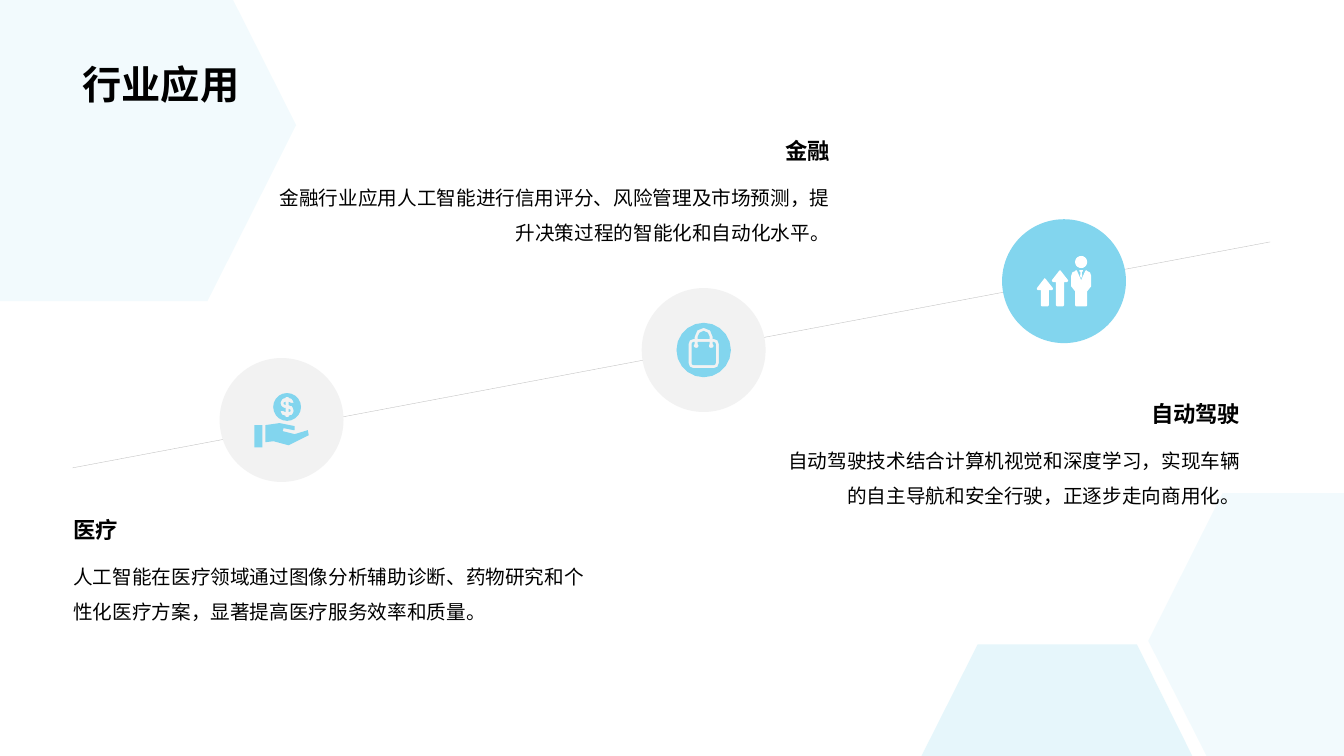
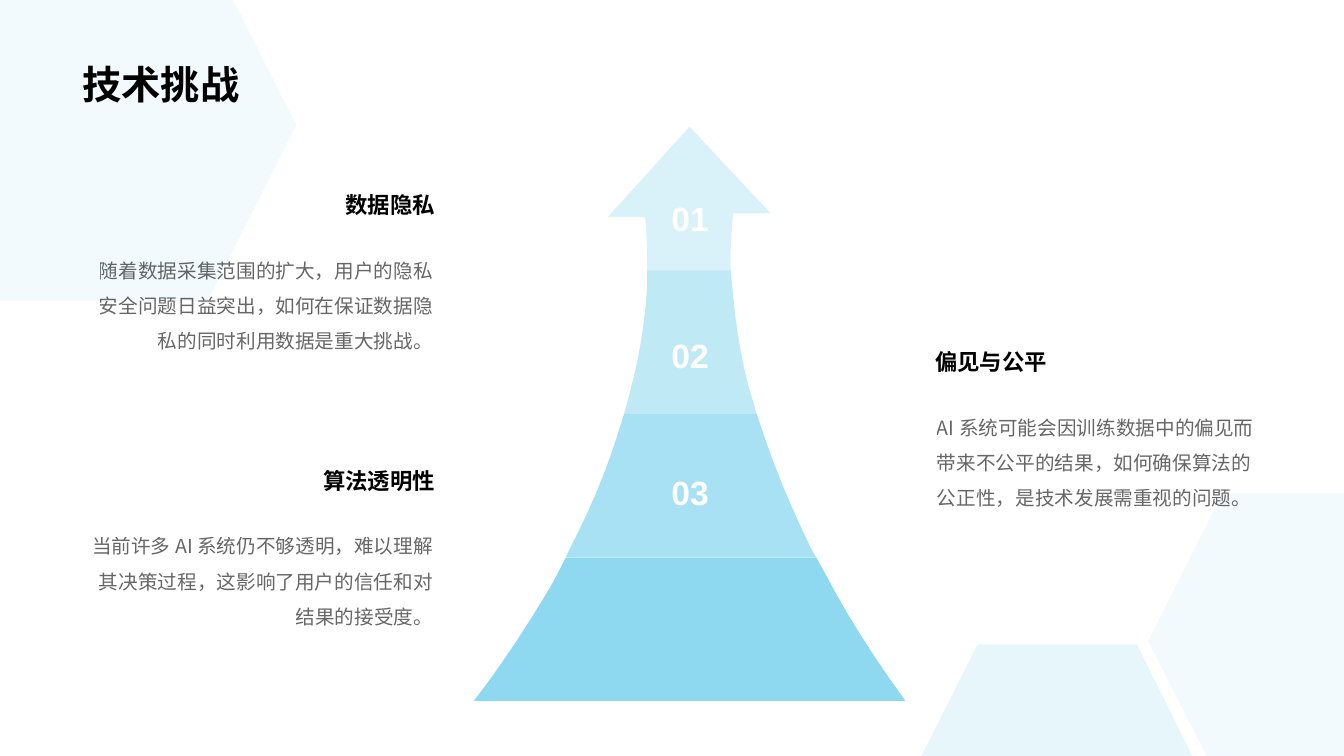
"""Builds two slides: industry applications of AI and its technical challenges."""
from dataclasses import dataclass
from math import cos, pi, sin

from lxml import etree
from pptx import Presentation
from pptx.dml.color import RGBColor
from pptx.enum.shapes import MSO_CONNECTOR, MSO_SHAPE
from pptx.enum.text import MSO_ANCHOR, PP_ALIGN
from pptx.oxml.ns import qn
from pptx.util import Emu, Pt

LEFT, RIGHT, CENTER = PP_ALIGN.LEFT, PP_ALIGN.RIGHT, PP_ALIGN.CENTER
TOP, BOTTOM = MSO_ANCHOR.TOP, MSO_ANCHOR.BOTTOM
STRAIGHT, OVAL = MSO_CONNECTOR.STRAIGHT, MSO_SHAPE.OVAL

COLUMNS, ROWS = 160, 90
CELL = 76200
ICON_UNIT = 0.12
ICON_STEPS, BAND_STEPS, CIRCLE_POINTS = 2, 6, 20

Point = tuple[float, float]


@dataclass(frozen=True)
class Theme:
    accent: str = "82D5EE"
    ink: str = "000000"
    paper: str = "FFFFFF"
    disc: str = "F2F2F2"
    rule: str = "BFBFBF"
    font: str = "Noto Sans CJK SC"
    number_font: str = "Arial"
    title_size: float = 28
    number_size: float = 24
    heading_size: float = 16
    body_size: float = 14
    rule_width: float = 0.25


THEME = Theme()


@dataclass(frozen=True)
class Cells:
    """A rectangle counted in grid cells."""
    left: float
    top: float
    width: float
    height: float


@dataclass(frozen=True)
class TextStyle:
    size: float
    bold: bool = True
    color: str = THEME.ink
    opacity: int = 100
    font: str = THEME.font
    align: PP_ALIGN = LEFT
    anchor: MSO_ANCHOR = TOP
    spacing: float = 1.0
    inset_x: float = 1.2
    inset_y: float = 0.6


@dataclass(frozen=True)
class Patch:
    """A tinted outline; six-number entries are cubic curves."""
    opacity: int
    outline: list[tuple]


@dataclass(frozen=True)
class Note:
    heading: str
    body: str
    left: float
    top: float
    width: float
    align: PP_ALIGN


@dataclass(frozen=True)
class NoteLayout:
    heading_height: float
    body_offset: float
    body_height: float
    heading_anchor: MSO_ANCHOR
    heading_inset: float
    body_inset: tuple[float, float]
    body_opacity: int


@dataclass(frozen=True)
class Stop:
    """A disc on the rising line with an icon at its centre."""
    left: float
    top: float
    disc_color: str
    icon_color: str
    icon: list[list[Point]]


def cells(count: float) -> Emu:
    """Turns grid cells into a length."""
    return Emu(round(count * CELL))


def flatten(outline: list[tuple], steps: int = ICON_STEPS) -> list[Point]:
    """Replaces each cubic curve by short straight steps."""
    points = [outline[0]]
    for entry in outline[1:]:
        if len(entry) == 2:
            points.append(entry)
            continue
        corners = [points[-1], entry[:2], entry[2:4], entry[4:]]
        for step in range(1, steps + 1):
            t = step / steps
            weights = ((1 - t) ** 3, 3 * t * (1 - t) ** 2, 3 * t * t * (1 - t), t ** 3)
            points.append(tuple(sum(w * c[axis] for w, c in zip(weights, corners))
                                for axis in (0, 1)))
    return points


def mirrored(half: list[tuple], x: float = 0) -> list[Point]:
    """Completes an outline that is symmetric about a vertical axis."""
    points = flatten(half)
    return [(x + dx, y) for dx, y in points] + [(x - dx, y) for dx, y in reversed(points)]


def circle(x: float, y: float, radius: float) -> list[Point]:
    """Returns the outline of a circle."""
    angles = [2 * pi * step / CIRCLE_POINTS for step in range(CIRCLE_POINTS)]
    return [(x + radius * cos(angle), y + radius * sin(angle)) for angle in angles]


def growth_arrow(x: float, tip: float) -> list[Point]:
    """Returns an upward arrow standing on the icon's base."""
    return mirrored([(0, tip), (1, tip + 1), (8, tip + 10), (8, tip + 11), (7, tip + 12),
                     (4, tip + 12), (4, 24), (3, 25)], x)


MONEY_ICON = [
    [(-27, 5), (-19, 5), (-19, 27), (-27, 27)],
    [(-2, 3), (13, 6), (13, 10), (12, 10), (2, 8), (1, 11), (13, 14), (26, 10),
     (27, 15), (7, 25), (-8, 21), (-16, 22), (-16, 5)],
    circle(5.5, -13, 13.8),
    flatten([(7, -11), (9, -11, 9, -10, 9, -9), (9, -9, 9, -8, 7, -8)]),
    flatten([(4, -18), (4, -15), (2, -15, 2, -16, 2, -17), (2, -17, 2, -18, 4, -18)]),
    flatten([(4, -23), (4, -22), (3, -22, 2, -21, 1, -21), (0, -20, -1, -18, -1, -17),
             (-1, -15, 0, -13, 1, -13), (2, -12, 3, -12, 4, -12), (4, -8),
             (2, -8, 2, -9, 2, -9), (-1, -9), (-1, -8, 0, -6, 1, -5),
             (2, -5, 3, -5, 4, -4), (4, -3), (7, -3), (7, -4), (8, -5, 9, -5, 10, -5),
             (11, -6, 12, -8, 12, -9), (12, -11, 11, -13, 10, -14),
             (9, -14, 8, -14, 7, -15), (7, -18), (9, -18, 9, -17, 9, -17), (12, -17),
             (12, -18, 11, -20, 10, -21), (9, -21, 8, -22, 7, -22), (7, -23)]),
]
BAG_ICON = [
    circle(0, 0, 27),
    mirrored([(0, -22), (5, -22, 9, -18, 9, -13), (9, -11), (10, -11),
              (13, -11, 15, -9, 15, -6), (15, 13), (15, 16, 13, 18, 10, 18)]),
    mirrored([(0, -19), (3, -19, 6, -16, 6, -13), (6, -11)]),
    mirrored([(6, -8), (6, -6), (6, -6, 5, -5, 5, -4), (5, -3, 6, -2, 7, -2),
              (9, -2, 10, -3, 10, -4), (10, -5, 9, -6, 9, -6), (9, -8), (10, -8),
              (11, -8, 12, -7, 12, -6), (12, 13), (12, 14, 11, 15, 10, 15)]),
]
GROWTH_ICON = [
    growth_arrow(-19, -3),
    growth_arrow(-4, -11),
    circle(17, -19, 6),
    mirrored([(0, -1), (4, -10), (5, -11), (6, -10), (8, -10, 10, -8, 10, -5),
              (10, 5), (6, 10), (6, 24), (5, 25)], 17),
    mirrored([(1.5, -11), (2, -10), (0.6, -9), (1, -5), (0, -3)], 17),
]

BACKDROP = [
    Patch(10, [(0, 0), (27.75, 0), (35.25, 14.9), (24.7, 35.85), (0, 35.85)]),
    Patch(20, [(116.4, 76.7), (135.35, 76.7), (141.95, ROWS), (109.7, ROWS)]),
    Patch(10, [(145.55, 58.7), (COLUMNS, 58.7), (COLUMNS, ROWS), (143.65, ROWS),
               (136.7, 76.3)]),
]
ARROW_BANDS = [
    Patch(90, [(67.35, 66.4), (97.2, 66.4), (98.2, 68.2),
               (100.7, 73, 103.9, 78.1, 107.8, 83.45), (56.4, 83.45),
               (57, 82.7, 61.2, 77.3, 65.8, 69.4)]),
    Patch(30, [(82.1, 15.1), (91.75, 25.4), (87.35, 25.4),
               (87.35, 25.4, 86.9, 27.7, 87, 32.2), (77.05, 32.2), (77.05, 31.2),
               (77.05, 29.4, 76.95, 27.6, 76.8, 25.85), (72.35, 25.85)]),
    Patch(50, [(77.05, 32.2), (87, 32.2), (87.25, 34.8),
               (87.5, 37.7, 88, 41.4, 89, 45.6), (90.1, 49.3), (74.3, 49.3),
               (74.9, 47.05), (76.1, 42.7, 76.8, 38.4, 77.05, 34)]),
    Patch(70, [(74.3, 49.3), (90.1, 49.3), (90.35, 50.05),
               (91.8, 54.6, 93.85, 59.75, 96.6, 65.4), (97.2, 66.4), (67.35, 66.4),
               (67.8, 65.4), (69.85, 61.45, 71.9, 56.9, 73.45, 52)]),
]
NUMBERS = ["01", "02", "03"]
NUMBER_TOP, NUMBER_PITCH = 22.35, 16.3

DISC_SIZE = 14.75
STOPS = [
    Stop(26.15, 42.63, THEME.disc, THEME.accent, MONEY_ICON),
    Stop(76.4, 34.3, THEME.disc, THEME.accent, BAG_ICON),
    Stop(119.3, 26.1, THEME.accent, THEME.paper, GROWTH_ICON),
]

TITLE_AREA = Cells(8.65, 0, 142.55, 13.45)
TITLE = TextStyle(THEME.title_size, anchor=BOTTOM, spacing=0.9)
NUMBER = TextStyle(THEME.number_size, color=THEME.paper, font=THEME.number_font,
                   align=CENTER, anchor=BOTTOM, inset_y=1.2)

APPLICATION_LAYOUT = NoteLayout(4.45, 4.45, 9.25, BOTTOM, 0.6, (1.2, 0.6), 100)
APPLICATIONS = [
    Note("医疗", "人工智能在医疗领域通过图像分析辅助诊断、药物研究和个性化医疗方案，显著提高医疗服务效率和质量。",
         7.55, 60.77, 65.15, LEFT),
    Note("金融", "金融行业应用人工智能进行信用评分、风险管理及市场预测，提升决策过程的智能化和自动化水平。",
         30.25, 15.65, 69.75, RIGHT),
    Note("自动驾驶", "自动驾驶技术结合计算机视觉和深度学习，实现车辆的自主导航和安全行驶，正逐步走向商用化。",
         91.1, 46.95, 57.75, RIGHT),
]
CHALLENGE_LAYOUT = NoteLayout(5.65, 6.35, 23.5, TOP, 1.2, (1.4, 1.44), 60)
CHALLENGES = [
    Note("数据隐私", "随着数据采集范围的扩大，用户的隐私安全问题日益突出，如何在保证数据隐私的同时利用数据是重大挑战。",
         8.65, 21.6, 44.3, RIGHT),
    Note("偏见与公平", "AI 系统可能会因训练数据中的偏见而带来不公平的结果，如何确保算法的公正性，是技术发展需重视的问题。",
         110.15, 40.3, 41.05, LEFT),
    Note("算法透明性", "当前许多 AI 系统仍不够透明，难以理解其决策过程，这影响了用户的信任和对结果的接受度。",
         8.65, 54.4, 44.3, RIGHT),
]


def set_opacity(element, percent: int) -> None:
    """Makes the first colour inside an element see-through."""
    if percent < 100:
        color = element.find(".//" + qn("a:srgbClr"))
        etree.SubElement(color, qn("a:alpha")).set("val", str(percent * 1000))


def paint(shape, color: str, opacity: int = 100) -> None:
    """Gives a shape a plain fill without line or shadow."""
    shape.shadow.inherit = False
    shape.fill.solid()
    shape.fill.fore_color.rgb = RGBColor.from_string(color)
    shape.line.fill.background()
    set_opacity(shape._element.spPr, opacity)


def add_outline(page, contours: list[list[Point]], color: str, opacity: int = 100) -> None:
    """Draws closed contours, in cells, as one shape."""
    paths = [[(cells(x), cells(y)) for x, y in contour] for contour in contours]
    builder = page.shapes.build_freeform(*paths[0][0])
    for index, path in enumerate(paths):
        if index:
            builder.move_to(*path[0])
        builder.add_line_segments(path[1:], close=True)
    paint(builder.convert_to_shape(), color, opacity)


def add_text(page, text: str, area: Cells, style: TextStyle) -> None:
    """Writes one paragraph into a text box."""
    box = page.shapes.add_textbox(*map(cells, (area.left, area.top, area.width, area.height)))
    frame = box.text_frame
    frame.word_wrap = True
    frame.vertical_anchor = style.anchor
    frame.margin_left = frame.margin_right = cells(style.inset_x)
    frame.margin_top = frame.margin_bottom = cells(style.inset_y)
    para = frame.paragraphs[0]
    para.text = text
    para.alignment, para.line_spacing = style.align, style.spacing
    font = para.font
    font.size, font.bold, font.name = Pt(style.size), style.bold, style.font
    font.color.rgb = RGBColor.from_string(style.color)
    defaults = para._p.pPr.find(qn("a:defRPr"))
    etree.SubElement(defaults, qn("a:ea")).set("typeface", style.font)
    set_opacity(defaults, style.opacity)


def add_note(page, note: Note, layout: NoteLayout) -> None:
    """Writes a heading with its explanation below."""
    add_text(page, note.heading, Cells(note.left, note.top, note.width, layout.heading_height),
             TextStyle(THEME.heading_size, align=note.align, anchor=layout.heading_anchor,
                       inset_y=layout.heading_inset))
    inset_x, inset_y = layout.body_inset
    add_text(page, note.body,
             Cells(note.left, note.top + layout.body_offset, note.width, layout.body_height),
             TextStyle(THEME.body_size, bold=False, opacity=layout.body_opacity,
                       align=note.align, spacing=1.5, inset_x=inset_x, inset_y=inset_y))


def add_stop(page, stop: Stop) -> None:
    """Draws a disc and its icon."""
    disc = page.shapes.add_shape(OVAL, *map(cells, (stop.left, stop.top, DISC_SIZE, DISC_SIZE)))
    paint(disc, stop.disc_color)
    middle_x, middle_y = stop.left + DISC_SIZE / 2, stop.top + DISC_SIZE / 2
    add_outline(page, [[(middle_x + x * ICON_UNIT, middle_y + y * ICON_UNIT) for x, y in contour]
                       for contour in stop.icon], stop.icon_color)


def add_patches(page, patches: list[Patch]) -> None:
    """Draws tinted outlines in the accent colour."""
    for patch in patches:
        add_outline(page, [flatten(patch.outline, BAND_STEPS)], THEME.accent, patch.opacity)


def add_page(deck, title: str):
    """Adds a slide with the shared backdrop and title."""
    page = deck.slides.add_slide(deck.slide_layouts[6])
    add_patches(page, BACKDROP)
    add_text(page, title, TITLE_AREA, TITLE)
    return page


def build_applications(deck) -> None:
    """Builds the slide with three stops on a rising line."""
    page = add_page(deck, "行业应用")
    rise = page.shapes.add_connector(STRAIGHT, *map(cells, (8.65, 55.7, 151.2, 28.8)))
    rise.line.color.rgb = RGBColor.from_string(THEME.rule)
    rise.line.width = Pt(THEME.rule_width)
    etree.SubElement(rise._element.spPr, qn("a:effectLst"))
    for stop in STOPS:
        add_stop(page, stop)
    for note in APPLICATIONS:
        add_note(page, note, APPLICATION_LAYOUT)


def build_challenges(deck) -> None:
    """Builds the slide with the banded arrow."""
    page = add_page(deck, "技术挑战")
    add_patches(page, ARROW_BANDS)
    for index, number in enumerate(NUMBERS):
        add_text(page, number, Cells(78.5, NUMBER_TOP + index * NUMBER_PITCH, 7.3, 7.2), NUMBER)
    for note in CHALLENGES:
        add_note(page, note, CHALLENGE_LAYOUT)


def main() -> None:
    """Builds and saves the deck."""
    deck = Presentation()
    deck.slide_width, deck.slide_height = cells(COLUMNS), cells(ROWS)
    build_applications(deck)
    build_challenges(deck)
    deck.save("out.pptx")


if __name__ == "__main__":
    main()
